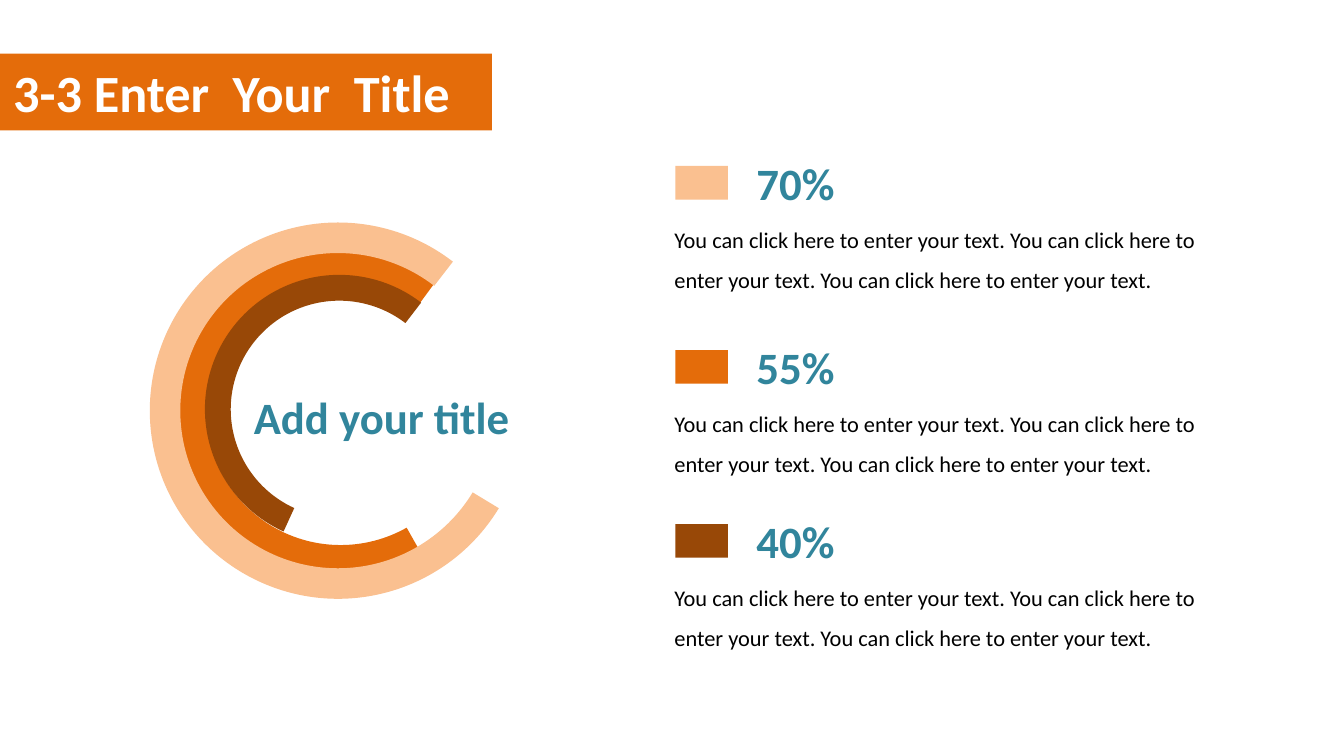
from pptx import Presentation
from pptx.dml.color import RGBColor
from pptx.enum.shapes import MSO_SHAPE as Shape
from pptx.enum.text import MSO_AUTO_SIZE as AutoSize
from pptx.util import Inches, Pt

# The slide is a grid of square cells, a tenth of an inch wide.
CELL = Inches(0.1)
COLUMNS = 100
ROWS = COLUMNS * 9 / 16

PEACH = RGBColor(0xFA, 0xC0, 0x90)
ORANGE = RGBColor(0xE4, 0x6C, 0x0A)
BROWN = RGBColor(0x98, 0x48, 0x07)
TEAL = RGBColor(0x31, 0x85, 0x9C)
WHITE = RGBColor(0xFF, 0xFF, 0xFF)
BLACK = RGBColor(0x00, 0x00, 0x00)

TITLE = {"size": Pt(28), "bold": True}
HEADING = {"size": Pt(24), "bold": True}
BODY = {"size": Pt(12), "bold": False}

SENTENCE = "You can click here to enter your text."
BODY_TEXT = " ".join([SENTENCE] * 3)

# colour, left, top, diameter, rotation, start and end angle, band width
RINGS = [
    (ORANGE, 13.35, 18.55, 24, 270, 150.58, 36.38, 2),
    (BROWN, 15.25, 20.45, 20, 273.8, 200.72, 33.69, 1.92),
    (PEACH, 11.15, 16.55, 28, 270, 121.24, 37.65, 2.27),
]

# colour, share, top of the swatch
LEGEND = [
    (PEACH, "70%", 12.35),
    (ORANGE, "55%", 26.05),
    (BROWN, "40%", 39),
]


def cells(*lengths):
    return [round(length * CELL) for length in lengths]


def add_block(page, kind, area, color):
    """Add a plain filled shape without outline or shadow."""
    block = page.shapes.add_shape(kind, *cells(*area))
    block.shadow.inherit = False
    block.fill.solid()
    block.fill.fore_color.rgb = color
    block.line.fill.background()
    return block


def add_ring(page, color, left, top, diameter, rotation, start, end, band):
    ring = add_block(page, Shape.BLOCK_ARC, (left, top, diameter, diameter), color)
    ring.rotation = rotation
    # An angle is stored in 60000ths of a degree, and adjustments in 100000ths.
    for index, value in enumerate((start * 0.6, end * 0.6, band / diameter)):
        ring.adjustments[index] = value


def add_text(page, text, area, style, color, line_spacing=None):
    box = page.shapes.add_textbox(*cells(*area))
    frame = box.text_frame
    frame.word_wrap = True
    frame.auto_size = AutoSize.SHAPE_TO_FIT_TEXT
    para = frame.paragraphs[0]
    para.line_spacing = line_spacing
    span = para.add_run()
    span.text = text
    span.font.name = "Calibri"
    span.font.color.rgb = color
    for name, value in style.items():
        setattr(span.font, name, value)


def add_legend_entry(page, color, share, top):
    add_block(page, Shape.RECTANGLE, (50.25, top, 3.9, 2.5), color)
    add_text(page, BODY_TEXT, (49.2, top + 2.95, 41.7, 7.1), BODY, BLACK, 1.5)
    add_text(page, share, (55.3, top - 1.25, 22.1, 5), HEADING, TEAL)


def main():
    deck = Presentation()
    deck.slide_width, deck.slide_height = cells(COLUMNS, ROWS)
    page = deck.slides.add_slide(deck.slide_layouts[6])

    add_block(page, Shape.RECTANGLE, (0, 4, 36.6, 5.7), ORANGE)
    for ring in RINGS:
        add_ring(page, *ring)
    add_text(page, "Add your title", (17.9, 28.5, 22.1, 5), HEADING, TEAL)
    for entry in LEGEND:
        add_legend_entry(page, *entry)
    add_text(page, "3-3 Enter  Your  Title", (0, 4, 35, 5.7), TITLE, WHITE)

    deck.save("out.pptx")


if __name__ == "__main__":
    main()
